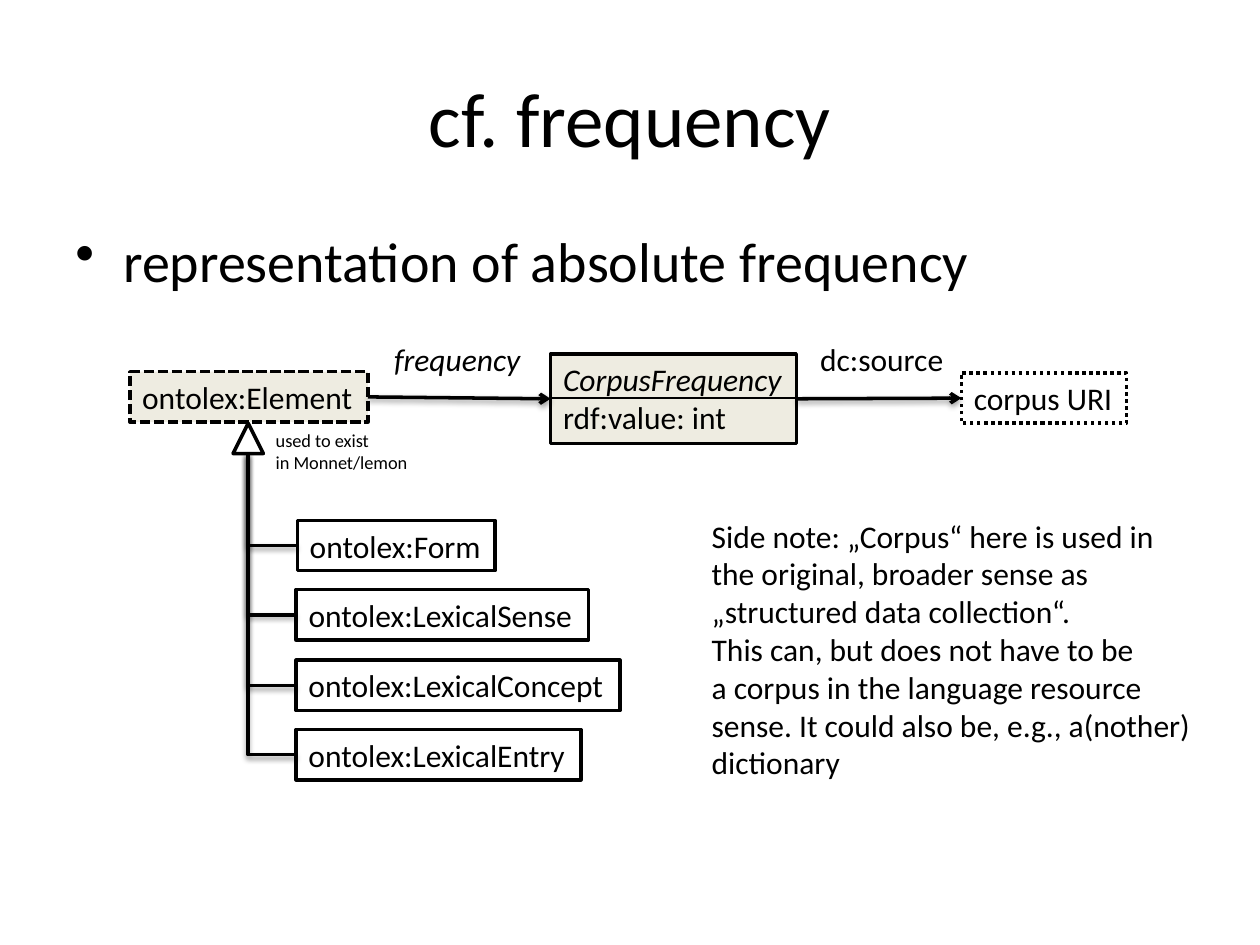
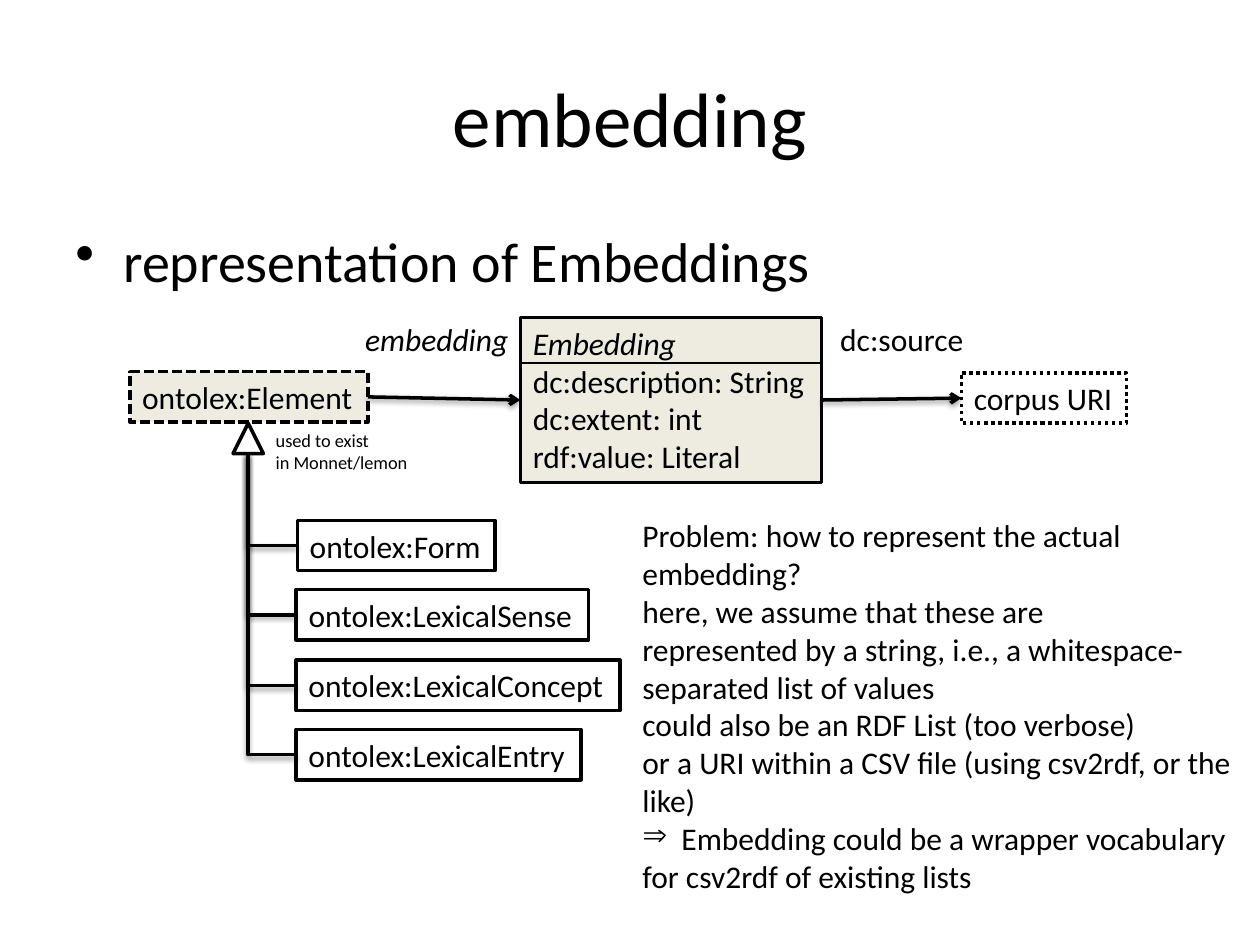
from lxml.etree import SubElement
from pptx import Presentation
from pptx.dml.color import RGBColor
from pptx.enum.dml import MSO_LINE
from pptx.enum.shapes import MSO_CONNECTOR, MSO_SHAPE
from pptx.enum.text import MSO_ANCHOR, MSO_AUTO_SIZE, PP_ALIGN
from pptx.oxml.ns import qn
from pptx.util import Pt

PX = 9144  # 100 px to the inch
FONT = "Calibri"
BLACK = RGBColor(0x00, 0x00, 0x00)
WHITE = RGBColor(0xFF, 0xFF, 0xFF)
CREAM = RGBColor(0xEE, 0xEC, 0xE1)

LEFT, RIGHT = 1, 3  # connection sites of a rectangle
BASE = 3            # connection site at the middle of a triangle's base

KINDS = [("Form", 236, 157), ("LexicalSense", 235, 232),
         ("LexicalConcept", 235, 257), ("LexicalEntry", 235, 226)]
KIND_TOP, KIND_STEP = 413, 55.4


def px(*sizes):
    return [round(size * PX) for size in sizes]


def write(frame, lines, size=18, slant=0, align=PP_ALIGN.LEFT,
          anchor=MSO_ANCHOR.TOP, wrap=False):
    """Fill a text frame; the first `slant` lines are italic."""
    frame.word_wrap = wrap
    frame.auto_size = MSO_AUTO_SIZE.NONE if wrap else MSO_AUTO_SIZE.SHAPE_TO_FIT_TEXT
    frame.vertical_anchor = anchor
    for i, line in enumerate(lines):
        para = frame.paragraphs[0] if i == 0 else frame.add_paragraph()
        para.alignment = align
        run = para.add_run()
        run.text = line
        font = run.font
        font.name, font.size, font.italic = FONT, Pt(size), i < slant
        font.color.rgb = BLACK


def bullet(para, char, indent):
    props = para._p.get_or_add_pPr()
    props.set("marL", str(indent * PX))
    props.set("indent", str(-indent * PX))
    SubElement(props, qn("a:buChar")).set("char", char)


def label(slide, spot, lines, **style):
    box = slide.shapes.add_textbox(*px(*spot))
    write(box.text_frame, lines, **style)
    return box


def stroke(line, width=2, dash=None):
    line.color.rgb = BLACK
    line.width = Pt(width)
    if dash:
        line.dash_style = dash


def shape(slide, spot, lines=(), kind=MSO_SHAPE.RECTANGLE, fill=WHITE,
          dash=None, **style):
    item = slide.shapes.add_shape(kind, *px(*spot))
    item.shadow.inherit = False
    if fill is None:
        item.fill.background()
    else:
        item.fill.solid()
        item.fill.fore_color.rgb = fill
    stroke(item.line, dash=dash)
    if lines:
        write(item.text_frame, lines, **style)
    return item


def shade(link, soft=True):
    """Replace the theme's connector shadow by a soft one or by none."""
    effects = SubElement(link._element.spPr, qn("a:effectLst"))
    if soft:
        outer = SubElement(effects, qn("a:outerShdw"), blurRad="40000",
                           dist="20000", dir="5400000", rotWithShape="0")
        tint = SubElement(outer, qn("a:srgbClr"), val=str(BLACK))
        SubElement(tint, qn("a:alpha"), val="38000")


def join(slide, start, site, end, goal, kind=MSO_CONNECTOR.STRAIGHT):
    link = slide.shapes.add_connector(kind, 0, 0, 0, 0)
    link.begin_connect(start, site)
    link.end_connect(end, goal)
    stroke(link.line)
    return link


def arrow(slide, start, end):
    link = join(slide, start, RIGHT, end, LEFT)
    SubElement(link.line._get_or_add_ln(), qn("a:tailEnd"), type="arrow")
    shade(link)


def branch(slide, box, tip):
    """Run left from a box, then up to the base of the triangle."""
    link = join(slide, box, LEFT, tip, BASE, MSO_CONNECTOR.ELBOW)
    link.end_x = tip.left + tip.width // 2
    link.end_y = tip.top + tip.height
    link._element.spPr.find(qn("a:prstGeom")).set("prst", "bentConnector2")
    shade(link)


def divide(slide, box, y):
    y, = px(y)
    link = slide.shapes.add_connector(
        MSO_CONNECTOR.STRAIGHT, box.left, y, box.left + box.width, y)
    stroke(link.line, 0.75)
    shade(link, soft=False)


def head(slide, title, topic):
    name = slide.shapes.title
    name.left, name.top, name.width, name.height = px(50, 30, 900, 125)
    write(name.text_frame, [title], size=44, align=PP_ALIGN.CENTER,
          anchor=MSO_ANCHOR.MIDDLE, wrap=True)
    body = label(slide, (50, 175, 900, 495), [topic], size=32, wrap=True)
    para = body.text_frame.paragraphs[0]
    para.space_before = Pt(6.4)
    bullet(para, "•", 38)


def tree(slide):
    """Draw the element with its subclasses and return its box."""
    root = shape(slide, (103, 295, 189, 40), ["ontolex:Element"],
                 fill=CREAM, dash=MSO_LINE.SQUARE_DOT)
    root.line._get_or_add_ln().find(qn("a:prstDash")).set("val", "sysDash")
    boxes = [shape(slide, (x, round(KIND_TOP + i * KIND_STEP), width, 40),
                   [f"ontolex:{name}"])
             for i, (name, x, width) in enumerate(KINDS)]
    tip = shape(slide, (185, 336, 24, 24), kind=MSO_SHAPE.ISOSCELES_TRIANGLE)
    for box in boxes:
        branch(slide, box, tip)
    label(slide, (209, 336, 126, 45), ["used to exist", "in Monnet/lemon"],
          size=10.5)
    return root


def model(deck, title, topic, spot, lines, split, edge, edge_at, source_at):
    """Build one slide: element, class box with its fields, and corpus."""
    slide = deck.slides.add_slide(deck.slide_layouts[5])
    head(slide, title, topic)
    root = tree(slide)
    box = shape(slide, spot, lines, fill=CREAM, slant=1)
    corpus = shape(slide, (763, 296, 131, 40), ["corpus URI"],
                   fill=None, dash=MSO_LINE.ROUND_DOT)
    arrow(slide, root, box)
    arrow(slide, box, corpus)
    label(slide, edge_at, [edge], slant=1)
    label(slide, source_at, ["dc:source"])
    divide(slide, box, split)
    return slide


def main():
    deck = Presentation()
    deck.slide_width, deck.slide_height = px(1000, 750)

    slide = model(
        deck, "cf. frequency", "representation of absolute frequency",
        (437, 281, 195, 71), ["CorpusFrequency", "rdf:value: int"], 316,
        "frequency", (303, 265, 124, 40), (641, 265, 119, 40))
    label(slide, (555, 405, 410, 222), [
        "Side note: „Corpus“ here is used in",
        "the original, broader sense as",
        "„structured data collection“.",
        "This can, but does not have to be",
        "a corpus in the language resource",
        "sense. It could also be, e.g., a(nother)",
        "dictionary"])

    slide = model(
        deck, "embedding", "representation of Embeddings",
        (413, 252, 239, 131),
        ["Embedding", "dc:description: String", "dc:extent: int",
         "rdf:value: Literal"], 288,
        "embedding", (280, 249, 135, 40), (657, 249, 119, 40))
    note = label(slide, (500, 405, 499, 313), [
        "Problem: how to represent the actual",
        "embedding?",
        "here, we assume that these are",
        "represented by a string, i.e., a whitespace-",
        "separated list of values",
        "could also be an RDF List (too verbose)",
        "or a URI within a CSV file (using csv2rdf, or the",
        "like)",
        "Embedding could be a wrapper vocabulary",
        "for csv2rdf of existing lists"])
    bullet(note.text_frame.paragraphs[-2], "⇒", 31)

    deck.save("out.pptx")


if __name__ == "__main__":
    main()
